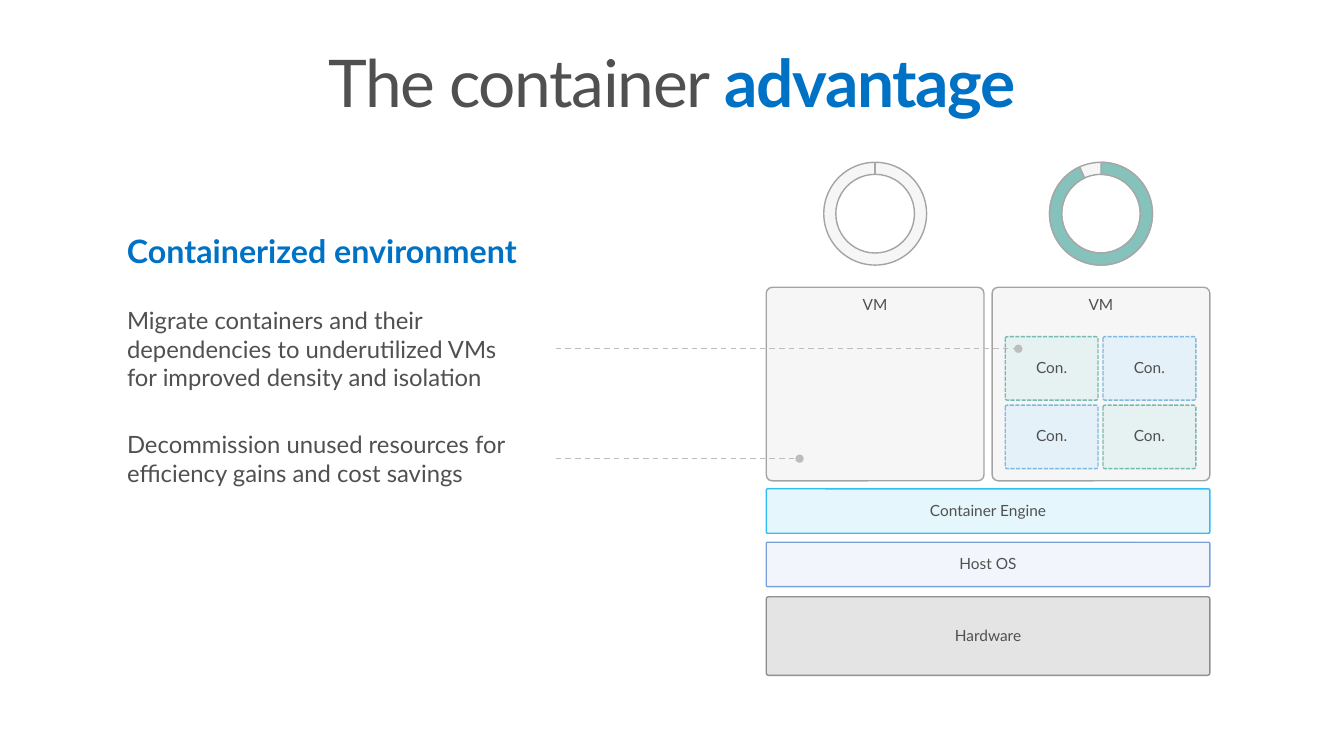
"""Build the slide on the container advantage."""
from lxml.etree import SubElement
from pptx import Presentation
from pptx.dml.color import RGBColor
from pptx.enum.dml import MSO_LINE
from pptx.enum.shapes import MSO_CONNECTOR, MSO_SHAPE
from pptx.enum.text import MSO_ANCHOR, MSO_AUTO_SIZE, PP_ALIGN
from pptx.oxml.ns import qn
from pptx.util import Inches, Pt

GRAY = RGBColor(0x50, 0x50, 0x50)
BLUE = RGBColor(0x00, 0x72, 0xC6)
HOST_BLUE = RGBColor(0x00, 0x4B, 0xBC)
ENGINE_CYAN = RGBColor(0x00, 0xB0, 0xF0)
TEAL = RGBColor(0x00, 0x82, 0x72)
PALE_TEAL = RGBColor(0xE5, 0xF2, 0xF1)
SKY = RGBColor(0x7F, 0xB8, 0xE2)
PALE_SKY = RGBColor(0xE5, 0xF1, 0xF9)
USAGE_TEAL = RGBColor(0x84, 0xC2, 0xBB)
RING_LINE = RGBColor(0xA7, 0xA7, 0xA7)
LEADER_GRAY = RGBColor(0xBD, 0xBD, 0xBD)

FONT = "Lato"
STACK_LEFT, STACK_WIDTH = 7.6, 4.4
VM_WIDTH, VM_PITCH = 2.16, 2.24
RING_SIZE, RING_TOP, RING_BAND = 1.02, 1.61, 0.12

prs = Presentation()
prs.slide_width, prs.slide_height = Inches(13.33), Inches(7.5)
slide = prs.slides.add_slide(prs.slide_layouts[5])


def add_block(kind, box, fill, fill_alpha, outline, outline_alpha, label=""):
    block = slide.shapes.add_shape(kind, *map(Inches, box))
    block.shadow.inherit = False
    block.fill.solid()
    block.fill.fore_color.rgb = fill
    block.line.color.rgb = outline
    block.line.width = Pt(1)
    colors = block._element.spPr.iter(qn("a:srgbClr"))
    for color, alpha in zip(colors, (fill_alpha, outline_alpha)):
        if alpha < 100:
            SubElement(color, qn("a:alpha"), val=str(alpha * 1000))
    if kind == MSO_SHAPE.ROUNDED_RECTANGLE:
        block.adjustments[0] = 0.031
    if label:
        block.text_frame.text = label
        block.text_frame.vertical_anchor = MSO_ANCHOR.MIDDLE
        paragraph = block.text_frame.paragraphs[0]
        paragraph.alignment = PP_ALIGN.CENTER
        paragraph.line_spacing = 0.9
        paragraph.font.name, paragraph.font.size = FONT, Pt(11)
        paragraph.font.color.rgb = GRAY
    return block


def add_line(start, end, color):
    line = slide.shapes.add_connector(
        MSO_CONNECTOR.STRAIGHT, *map(Inches, (*start, *end)))
    line.line.color.rgb = color
    line.line.width = Pt(1)
    SubElement(line._element.spPr, qn("a:effectLst"))
    return line


title = slide.shapes.title
title.left, title.top, title.width, title.height = map(Inches, (0.29, 0.4, 12.75, 0.98))
title_frame = title.text_frame
title_frame.auto_size = MSO_AUTO_SIZE.NONE
title_frame.vertical_anchor = MSO_ANCHOR.TOP
title_frame.margin_left = title_frame.margin_right = Inches(0.1)
title_frame.margin_top = title_frame.margin_bottom = Inches(0.1)
title_line = title_frame.paragraphs[0]
title_line.alignment = PP_ALIGN.CENTER
title_line.line_spacing = 0.9
for words, color, bold in (("The container ", GRAY, False), ("advantage", BLUE, True)):
    run = title_line.add_run()
    run.text = words
    run.font.name, run.font.size, run.font.bold = FONT, Pt(47), bold
    run.font.color.rgb = color
    run.font._element.set("spc", "-100")

for label, top, height, color, fill_alpha, outline_alpha in (
    ("Hardware", 5.92, 0.78, GRAY, 15, 60),
    ("Host OS", 5.38, 0.44, HOST_BLUE, 5, 50),
    ("Container Engine", 4.85, 0.44, ENGINE_CYAN, 10, 80),
):
    add_block(MSO_SHAPE.ROUNDED_RECTANGLE, (STACK_LEFT, top, STACK_WIDTH, height),
              color, fill_alpha, color, outline_alpha, label)

for column in range(2):
    vm_left = STACK_LEFT + column * VM_PITCH
    vm = add_block(MSO_SHAPE.ROUNDED_RECTANGLE, (vm_left, 2.85, VM_WIDTH, 1.92),
                   GRAY, 5, GRAY, 50, "VM")
    vm.text_frame.vertical_anchor = MSO_ANCHOR.TOP
    vm.text_frame.margin_top = Inches(0.08)

    ring_left = vm_left + (VM_WIDTH - RING_SIZE) / 2
    ring_box = (ring_left, RING_TOP, RING_SIZE, RING_SIZE)
    ring = add_block(MSO_SHAPE.DONUT, ring_box, GRAY, 5, GRAY, 50)
    ring.adjustments[0] = RING_BAND / RING_SIZE
    if column == 0:
        ring_center = ring_left + RING_SIZE / 2
        add_line((ring_center, RING_TOP), (ring_center, RING_TOP + RING_BAND), RING_LINE)
    else:
        usage = add_block(MSO_SHAPE.BLOCK_ARC, ring_box, USAGE_TEAL, 100, RING_LINE, 100)
        for index, value in enumerate((270 * 0.6, 245.5 * 0.6, RING_BAND / RING_SIZE)):
            usage.adjustments[index] = value

for row in range(2):
    for column in range(2):
        fill, outline, alpha = (
            (PALE_TEAL, TEAL, 50) if row == column else (PALE_SKY, SKY, 100))
        container = add_block(
            MSO_SHAPE.ROUNDED_RECTANGLE,
            (9.97 + column * 0.97, 3.34 + row * 0.68, 0.92, 0.63),
            fill, 100, outline, alpha, "Con.")
        container.line.dash_style = MSO_LINE.SQUARE_DOT

for words, box, size, color, bold, anchor in (
    ("Containerized environment", (1.1, 2.14, 5.74, 0.7), 23, BLUE, True, MSO_ANCHOR.TOP),
    ("Migrate containers and their dependencies to underutilized VMs "
     "for improved density and isolation",
     (1.1, 2.72, 4.28, 1.48), 17, GRAY, False, MSO_ANCHOR.MIDDLE),
    ("Decommission unused resources for efficiency gains and cost savings",
     (1.1, 4.1, 4.69, 0.9), 17, GRAY, False, MSO_ANCHOR.MIDDLE),
):
    frame = slide.shapes.add_textbox(*map(Inches, box)).text_frame
    frame.word_wrap = True
    frame.vertical_anchor = anchor
    frame.margin_left = frame.margin_right = Inches(0.16)
    frame.margin_top = frame.margin_bottom = Inches(0.16)
    frame.text = words
    font = frame.paragraphs[0].font
    font.name, font.size, font.bold = FONT, Pt(size), bold
    font.color.rgb = color

for end, y in ((10.1, 3.46), (7.93, 4.55)):
    leader = add_line((5.51, y), (end, y), LEADER_GRAY)
    leader.line.dash_style = MSO_LINE.DASH
    SubElement(leader.line._ln, qn("a:tailEnd"), type="oval")

prs.save("out.pptx")
